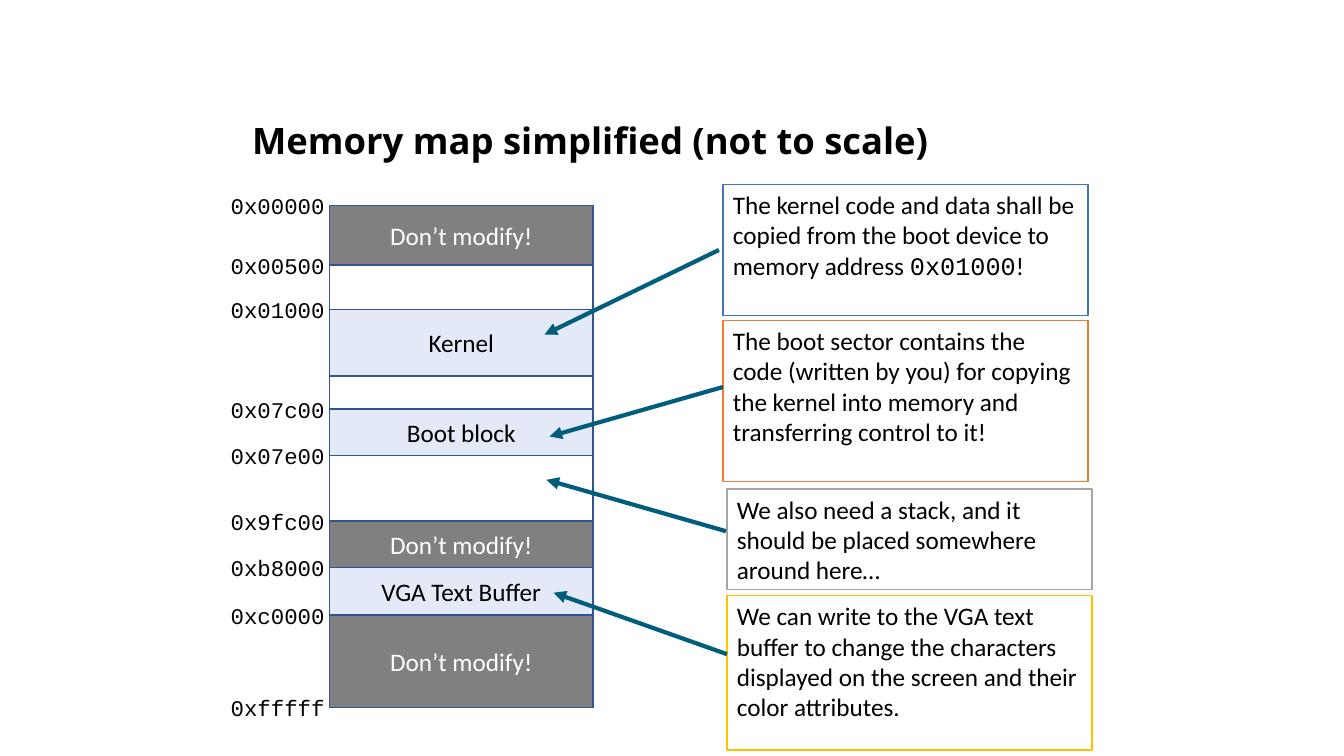
import pptx
import pptx.util
import pptx.dml.color
import pptx.enum.shapes
import pptx.enum.text
import pptx.oxml.ns
import lxml.etree

PX = 9144  # 100 px to the inch
BODY, MONO, HEAD = "Calibri", "Courier New", "Open Sans"
EDGE, ARROW, GREY, BLUE = "325491", "005E7C", "808080", "4472C4"
ALIGN = pptx.enum.text.PP_ALIGN
ANCHOR = pptx.enum.text.MSO_ANCHOR
SHAPE = pptx.enum.shapes.MSO_SHAPE

MARKS = [("0x00000", 204), ("0x00500", 263), ("0x01000", 307),
         ("0x07c00", 406), ("0x07e00", 452), ("0x9fc00", 517),
         ("0xb8000", 563), ("0xc0000", 610), ("0xfffff", 702)]

# top, bottom, label, locked
BLOCKS = [(204, 263, "Don’t modify!", True), (307, 373, "Kernel", False),
          (406, 452, "Boot block", False), (517, 563, "Don’t modify!", True),
          (563, 610, "VGA Text Buffer", False), (610, 702, "Don’t modify!", True)]

# box, line colour, runs, arrow start, arrow end
NOTES = [
    ((717, 183, 362, 130), BLUE,
     [("The kernel code and data shall be copied from the boot device to memory address ", BODY),
      ("0x01000", MONO), ("!", BODY)], (713, 248), (540, 332)),
    ((717, 318, 362, 160), "ED7D31",
     [("The boot sector contains the code (written by you) for copying the kernel "
       "into memory and transferring control to it!", BODY)], (717, 384), (545, 433)),
    ((721, 485, 362, 100), "A5A5A5",
     [("We also need a stack, and it should be placed somewhere around here…", BODY)],
     (720, 527), (542, 476)),
    ((721, 591, 362, 153), "FFC000",
     [("We can write to the VGA text buffer to change the characters displayed on the "
       "screen and their color attributes.", BODY)], (721, 649), (549, 588)),
]


def px(*vals):
    return [pptx.util.Emu(val * PX) for val in vals]


def tint(form, code):
    """Set a fill or font colour format to a hex colour."""
    form.rgb = pptx.dml.color.RGBColor.from_string(code)


def child(node, tag, **attrs):
    return lxml.etree.SubElement(node, pptx.oxml.ns.qn(tag), attrs)


def write(shape, runs, size=18, color="000000", bold=False,
          align=ALIGN.LEFT, anchor=ANCHOR.TOP, wrap=True):
    """Put (text, font) runs into the shape as one paragraph."""
    frame = shape.text_frame
    frame.word_wrap = wrap
    frame.auto_size = pptx.enum.text.MSO_AUTO_SIZE.NONE
    frame.vertical_anchor = anchor
    para = frame.paragraphs[0]
    para.alignment = align
    for text, font in runs:
        run = para.add_run()
        run.text = text
        run.font.name = font
        run.font.size = pptx.util.Pt(size)
        run.font.bold = bold
        tint(run.font.color, color)


def add_box(slide, box, line, fill=None, alpha=None):
    shape = slide.shapes.add_shape(SHAPE.RECTANGLE, *px(*box))
    shape.shadow.inherit = False
    tint(shape.line.color, line)
    shape.line.width = pptx.util.Pt(1)
    if fill is None:
        shape.fill.background()
    else:
        shape.fill.solid()
        tint(shape.fill.fore_color, fill)
    if alpha is not None:
        color = shape.fill._xPr.find(".//" + pptx.oxml.ns.qn("a:srgbClr"))
        child(color, "a:alpha", val=str(alpha * 1000))
    return shape


def add_arrow(slide, start, end):
    line = slide.shapes.add_connector(
        pptx.enum.shapes.MSO_CONNECTOR.STRAIGHT, *px(*start, *end))
    tint(line.line.color, ARROW)
    line.line.width = pptx.util.Pt(3)
    child(line.line._get_or_add_ln(), "a:tailEnd", type="triangle")
    child(line._element.spPr, "a:effectLst")


def add_title(slide, box, text):
    title = slide.shapes.title
    title.left, title.top, title.width, title.height = px(*box)
    write(title, [(text, HEAD)], size=26, bold=True, anchor=ANCHOR.BOTTOM)


def add_map(slide, box):
    """Draw the memory column with its blocks and the addresses to its left."""
    left, top, width, height = box
    add_box(slide, box, EDGE)
    first = MARKS[0][1]
    for start, end, label, locked in BLOCKS:
        place = (left, top + start - first, width, end - start)
        fill, alpha, color = (GREY, None, "FFFFFF") if locked else (BLUE, 15, "000000")
        block = add_box(slide, place, EDGE, fill, alpha)
        write(block, [(label, BODY)], color=color, align=ALIGN.CENTER, anchor=ANCHOR.MIDDLE)
    for name, pos in MARKS:
        place = (left - 108, top + pos - first - 18, 113, 36)
        mark = slide.shapes.add_textbox(*px(*place))
        write(mark, [(name, MONO)], size=16, wrap=False)


def add_note(slide, box, line, runs, start, end):
    write(add_box(slide, box, line), runs)
    add_arrow(slide, start, end)


def main():
    deck = pptx.Presentation()
    deck.slide_width, deck.slide_height = px(1333, 750)
    slide = deck.slides.add_slide(deck.slide_layouts[5])
    add_title(slide, (240, 33, 862, 133), "Memory map simplified (not to scale)")
    add_map(slide, (327, 204, 261, 498))
    for note in NOTES:
        add_note(slide, *note)
    deck.save("out.pptx")


if __name__ == "__main__":
    main()
